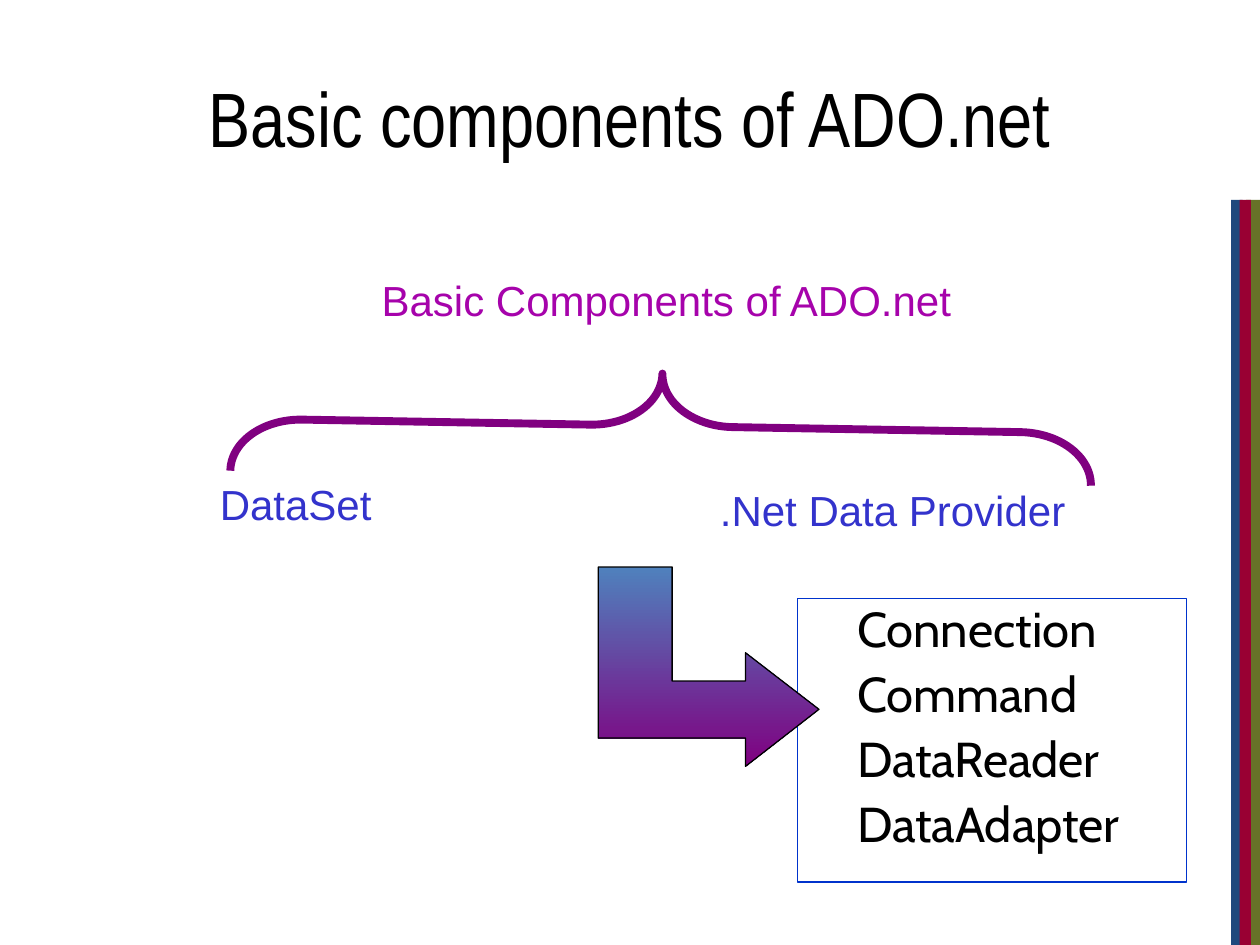
from pptx import Presentation
from pptx.dml.color import RGBColor
from pptx.enum.shapes import MSO_SHAPE
from pptx.enum.text import MSO_ANCHOR, PP_ALIGN
from pptx.util import Cm, Pt

RECTANGLE = MSO_SHAPE.RECTANGLE
LEFT_BRACE = MSO_SHAPE.LEFT_BRACE
TOP, MIDDLE = MSO_ANCHOR.TOP, MSO_ANCHOR.MIDDLE
LEFT, CENTER = PP_ALIGN.LEFT, PP_ALIGN.CENTER

COLORS = {
    "black": "000000",
    "green": "677228",
    "navy": "1F497D",
    "crimson": "990033",
    "frame": "0033CC",
    "branch": "3333CC",
    "heading": "A603AB",
    "purple": "800080",
    "steel": "4F81BD",
}


def color(name):
    return RGBColor.from_string(COLORS[name])


def set_line(shape, name, width):
    shape.line.color.rgb = color(name)
    shape.line.width = Pt(width)


def style_paragraph(paragraph, text, font_name, size, color_name, alignment=CENTER):
    paragraph.text = text
    paragraph.alignment = alignment
    paragraph.font.name = font_name
    paragraph.font.size = Pt(size)
    paragraph.font.color.rgb = color(color_name)


def add_bar(slide, left, width, color_name):
    bar = slide.shapes.add_shape(RECTANGLE, Cm(left), Cm(4.03), Cm(width), Cm(15.02))
    bar.shadow.inherit = False
    bar.fill.solid()
    bar.fill.fore_color.rgb = color(color_name)
    bar.line.fill.background()


def add_title(slide, text):
    title = slide.shapes.add_textbox(Cm(1.27), Cm(0.76), Cm(22.86), Cm(3.18))
    frame = title.text_frame
    frame.word_wrap = True
    frame.vertical_anchor = MIDDLE
    style_paragraph(frame.paragraphs[0], text, "Arial Narrow", 44, "black")


def add_label(slide, text, left, top, width, height, color_name):
    label = slide.shapes.add_textbox(Cm(left), Cm(top), Cm(width), Cm(height))
    label.text_frame.word_wrap = False
    style_paragraph(label.text_frame.paragraphs[0], text, "Arial", 24, color_name)


def add_list_box(slide, items):
    box = slide.shapes.add_shape(RECTANGLE, Cm(16.08), Cm(12.07), Cm(7.84), Cm(5.71))
    box.shadow.inherit = False
    box.fill.background()
    set_line(box, "frame", 0.75)
    frame = box.text_frame
    frame.word_wrap = True
    frame.vertical_anchor = TOP
    frame.margin_left = Cm(1.2)
    for index, item in enumerate(items):
        paragraph = frame.add_paragraph() if index else frame.paragraphs[0]
        style_paragraph(paragraph, item, "Cabin", 28, "black", LEFT)
        paragraph.line_spacing = 0.9
        paragraph.space_before = Pt(7)


def add_brace(slide):
    brace = slide.shapes.add_shape(LEFT_BRACE, Cm(12.28), Cm(-0.09), Cm(2.11), Cm(17.35))
    brace.shadow.inherit = False
    brace.rotation = 91
    brace.adjustments[0] = 0.68
    brace.fill.background()
    set_line(brace, "purple", 4.5)


def add_bent_arrow(slide):
    points = [
        (16.51, 14.3), (15.03, 13.16), (15.03, 13.73), (13.55, 13.73), (13.55, 11.43),
        (12.06, 11.43), (12.06, 14.88), (15.03, 14.88), (15.03, 15.45),
    ]
    start, *others = [(Cm(x), Cm(y)) for x, y in points]
    builder = slide.shapes.build_freeform(*start)
    builder.add_line_segments(others, close=True)
    arrow = builder.convert_to_shape()
    arrow.shadow.inherit = False
    arrow.fill.gradient()
    arrow.fill.gradient_angle = 270
    for stop, name in zip(arrow.fill.gradient_stops, ("steel", "purple")):
        stop.color.rgb = color(name)
    set_line(arrow, "black", 0.75)


def main():
    presentation = Presentation()
    presentation.slide_width = Cm(25.4)
    presentation.slide_height = Cm(19.05)
    slide = presentation.slides.add_slide(presentation.slide_layouts[6])

    add_bar(slide, 25.12, 0.28, "green")
    add_bar(slide, 24.82, 0.23, "navy")
    add_bar(slide, 24.99, 0.23, "crimson")
    add_title(slide, "Basic components of ADO.net")
    add_list_box(slide, ["Connection", "Command", "DataReader", "DataAdapter"])
    add_label(slide, "DataSet", 3.18, 9.53, 5.56, 1.27, "branch")
    add_label(slide, ".Net Data Provider", 11.86, 9.65, 12.27, 1.17, "branch")
    add_label(slide, "Basic Components of ADO.net", 2.74, 5.41, 21.39, 3.07, "heading")
    add_brace(slide)
    add_bent_arrow(slide)

    presentation.save("out.pptx")


if __name__ == "__main__":
    main()
